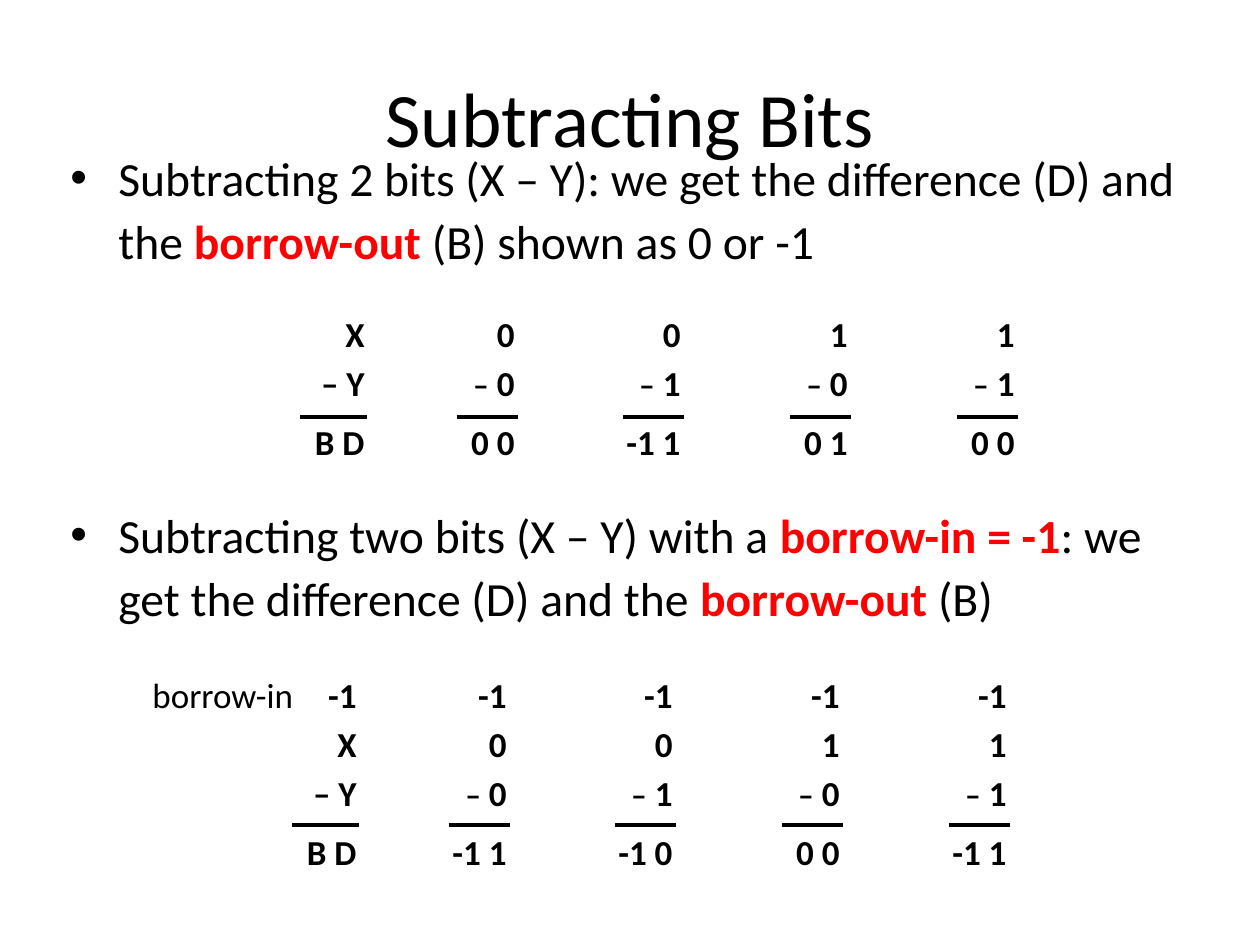
from lxml import etree
from pptx import Presentation
from pptx import util as u
from pptx.dml.color import RGBColor
from pptx.enum import shapes, text
from pptx.oxml import ns

PX = u.Inches(1) / 126  # one px in EMU

THEME = {
    "font": "Calibri",
    "ink": RGBColor(0, 0, 0),
    "accent": RGBColor(255, 0, 0),
    "title": 44,
    "body": 27.2,
    "digit": 20,
    "minus": 18,
    "rule": 2.25,
}

TITLE = "Subtracting Bits"
# Each bullet: space before in points, then (words, highlighted) spans
BULLETS = [
    (0, [("Subtracting 2 bits (X – Y): we get the difference (D) and the ", False),
         ("borrow-out ", True),
         ("(B) shown as 0 or -1", False)]),
    (132, [("Subtracting two bits (X – Y) with a ", False),
           ("borrow-in = -1", True),
           (": we get the difference (D) and the ", False),
           ("borrow-out", True),
           (" (B)", False)]),
]
# Each sum is written from top to bottom; the first one holds the letters
SUMS = [
    {"left": 281, "top": 306, "height": 168, "rule": 417, "label": None,
     "columns": [("X", "– Y", "B D"), ("0", "– 0", "0 0"), ("0", "– 1", "-1 1"),
                 ("1", "– 0", "0 1"), ("1", "– 1", "0 0")]},
    {"left": 273, "top": 667, "height": 220, "rule": 825, "label": "borrow-in",
     "columns": [("-1", "X", "– Y", "B D"), ("-1", "0", "– 0", "-1 1"),
                 ("-1", "0", "– 1", "-1 0"), ("-1", "1", "– 0", "0 0"),
                 ("-1", "1", "– 1", "-1 1")]},
]
LETTERS = {"width": 96, "rule_inset": 19, "rule_width": 67}
DIGITS = {"width": 87, "rule_inset": 17, "rule_width": 61}
FIRST_DIGITS = 159  # from the letters column to the first digits column
THREE_STEPS = 500   # width of three digit column steps


def emu(*lengths):
    return [round(length * PX) for length in lengths]


def add_box(parent, left, top, width, height, **formats):
    box = parent.add_textbox(*emu(left, top, width, height))
    for name, value in ({"word_wrap": True} | formats).items():
        setattr(box.text_frame, name, value)
    return box.text_frame


def next_para(frame, first, **formats):
    para = frame.paragraphs[0] if first else frame.add_paragraph()
    for name, value in formats.items():
        setattr(para, name, value)
    return para


def add_span(para, words, size, bold=False, color="ink"):
    span = para.add_run()
    span.text = words
    for name, value in {"name": THEME["font"], "size": u.Pt(size), "bold": bold}.items():
        setattr(span.font, name, value)
    span.font.color.rgb = THEME[color]


def add_bullet(para, indent):
    props = para._p.get_or_add_pPr()
    hang = emu(indent)[0]
    props.set("marL", str(hang))
    props.set("indent", str(-hang))
    etree.SubElement(props, ns.qn("a:buFont")).set("typeface", "Arial")
    etree.SubElement(props, ns.qn("a:buChar")).set("char", "•")


def add_rule(parent, left, y, width):
    rule = parent.add_connector(shapes.MSO_CONNECTOR.STRAIGHT,
                                *emu(left, y, left + width, y))
    rule.line.color.rgb = THEME["ink"]
    rule.line.width = u.Pt(THEME["rule"])
    etree.SubElement(rule._element.spPr, ns.qn("a:effectLst"))


def add_column(parent, sums, index, rows):
    """Write one subtraction with the rule above its result."""
    look = DIGITS if index else LETTERS
    left = sums["left"]
    if index:
        left += FIRST_DIGITS + THREE_STEPS * (index - 1) // 3
    frame = add_box(parent, left, sums["top"], look["width"], sums["height"])
    for number, row in enumerate(rows):
        gap = 0 if number == 0 else 10 if number == len(rows) - 1 else 4
        para = next_para(frame, number == 0, space_before=u.Pt(gap),
                         alignment=text.PP_ALIGN.RIGHT)
        if index and row.startswith("–"):
            add_span(para, "–", THEME["minus"], bold=True)
            row = row[1:]
        add_span(para, row, THEME["digit"], bold=True)
    add_rule(parent, left + look["rule_inset"], sums["rule"], look["rule_width"])


def main():
    deck = Presentation()
    deck.slide_width, deck.slide_height = emu(1260, 945)
    page = deck.slides.add_slide(deck.slide_layouts[6])

    frame = add_box(page.shapes, 63, 38, 1134, 157,
                    vertical_anchor=text.MSO_ANCHOR.MIDDLE)
    add_span(next_para(frame, True, alignment=text.PP_ALIGN.CENTER),
             TITLE, THEME["title"])

    frame = add_box(page.shapes, 58, 137, 1134, 522)
    for number, (gap, spans) in enumerate(BULLETS):
        para = next_para(frame, number == 0, line_spacing=1.1, space_before=u.Pt(gap))
        add_bullet(para, 48)
        for words, strong in spans:
            add_span(para, words, THEME["body"], strong, "accent" if strong else "ink")

    for sums in SUMS:
        for index, rows in enumerate(sums["columns"]):
            group = page.shapes.add_group_shape().shapes
            add_column(group, sums, index, rows)
            if index == 0 and sums["label"]:
                frame = add_box(group, 140, sums["top"], 168, 55, word_wrap=False)
                add_span(next_para(frame, True), sums["label"], THEME["digit"])

    deck.save("out.pptx")


if __name__ == "__main__":
    main()
